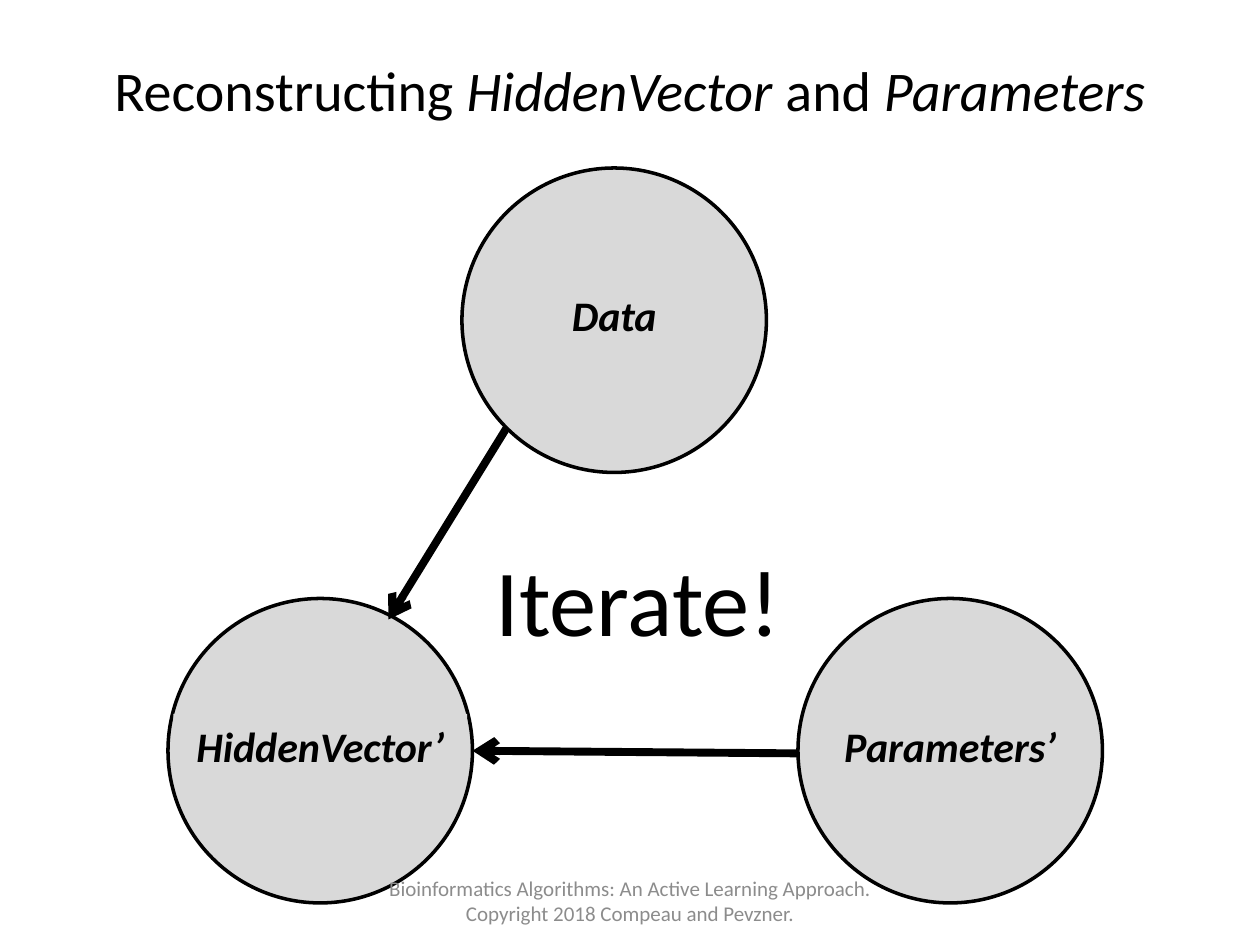
from math import sqrt

from lxml.etree import SubElement
from pptx import Presentation
from pptx.dml.color import RGBColor
from pptx.enum.shapes import MSO_CONNECTOR, MSO_SHAPE
from pptx.enum.text import MSO_ANCHOR, PP_ALIGN
from pptx.oxml.ns import qn
from pptx.util import Inches, Pt

UNIT = Inches(1) / 12  # the slide is a grid of 120 columns and 90 rows
SIZE = 29  # circle diameter in grid units

THEME = {
    "font": "Calibri",
    "ink": RGBColor(0, 0, 0),
    "disc": RGBColor(0xD9, 0xD9, 0xD9),
    "note": RGBColor(0x8C, 0x8C, 0x8C),
    "title": Pt(32),
    "label": Pt(24),
    "call": Pt(54),
    "small": Pt(12),
    "edge": Pt(2),
    "arrow": Pt(4.5),
}


def grid(*cells):
    return [round(cell * UNIT) for cell in cells]


def style(run, size, color="ink", **marks):
    values = {"name": THEME["font"], "size": THEME[size], **marks}
    for key, value in values.items():
        setattr(run.font, key, value)
    run.font.color.rgb = THEME[color]


def write(frame, parts, align, anchor, size, color="ink", **marks):
    """Fill a frame with one paragraph of (text, italic) parts."""
    frame.word_wrap = True
    frame.vertical_anchor = anchor
    para = frame.paragraphs[0]
    para.alignment = align
    for text, slant in parts:
        run = para.add_run()
        run.text = text
        style(run, size, color, italic=slant, **marks)


def heading(slide, box, parts):
    title = slide.shapes.title
    for key, value in zip(("left", "top", "width", "height"), grid(*box)):
        setattr(title, key, value)
    write(title.text_frame, parts, PP_ALIGN.CENTER, MSO_ANCHOR.MIDDLE, "title")


def caption(slide, box, text, align, anchor, size, color="ink"):
    area = slide.shapes.add_textbox(*grid(*box))
    write(area.text_frame, [(text, False)], align, anchor, size, color)


def disc(slide, left, top, text, inset=1):
    """Draw a circle with a filled label band across its middle."""
    group = slide.shapes.add_group_shape()
    ring = group.shapes.add_shape(MSO_SHAPE.OVAL, *grid(left, top, SIZE, SIZE))
    ring.line.color.rgb = THEME["ink"]
    ring.line.width = THEME["edge"]
    band = group.shapes.add_shape(
        MSO_SHAPE.RECTANGLE,
        *grid(left + inset, top + 11, SIZE - 2 * inset, 6))
    band.line.fill.background()
    for shape in (ring, band):
        shape.shadow.inherit = False
        shape.fill.solid()
        shape.fill.fore_color.rgb = THEME["disc"]
    write(band.text_frame, [(text, True)], PP_ALIGN.CENTER, MSO_ANCHOR.TOP,
          "label", bold=True)


def arrow(slide, start, end):
    link = slide.shapes.add_connector(
        MSO_CONNECTOR.STRAIGHT, *grid(*start, *end))
    link.line.color.rgb = THEME["ink"]
    link.line.width = THEME["arrow"]
    SubElement(link.line._get_or_add_ln(), qn("a:tailEnd"), type="arrow")
    SubElement(link._element.spPr, qn("a:effectLst"))


def cycle(slide, box):
    """Place the three circles and their arrows within the box."""
    left, top, width, height = box
    mid, right, low = left + 28, left + width - SIZE, top + height - SIZE
    disc(slide, mid, top, "Data")
    disc(slide, right, low, "Parameters’")
    disc(slide, left, low, "HiddenVector’", 0.5)
    half = SIZE / 2
    diag = half / sqrt(2)
    arrow(slide, (mid + half - diag, top + half + diag), (left + 21, low + 2))
    arrow(slide, (right, low + half + 0.25), (left + SIZE, low + half))


def main():
    deck = Presentation()
    deck.slide_width, deck.slide_height = grid(120, 90)
    slide = deck.slides.add_slide(deck.slide_layouts[5])
    heading(slide, (0, 1, 120, 15), [
        ("Reconstructing ", False), ("HiddenVector", True),
        (" and ", False), ("Parameters", True)])
    cycle(slide, (16, 16, 89, 70))
    caption(slide, (46, 51, 33, 12), "Iterate!",
            PP_ALIGN.LEFT, MSO_ANCHOR.TOP, "call")
    caption(slide, (34, 83.4, 52, 4.8),
            "Bioinformatics Algorithms: An Active Learning Approach. "
            "Copyright 2018 Compeau and Pevzner.",
            PP_ALIGN.CENTER, MSO_ANCHOR.MIDDLE, "small", "note")
    deck.save("out.pptx")


if __name__ == "__main__":
    main()
